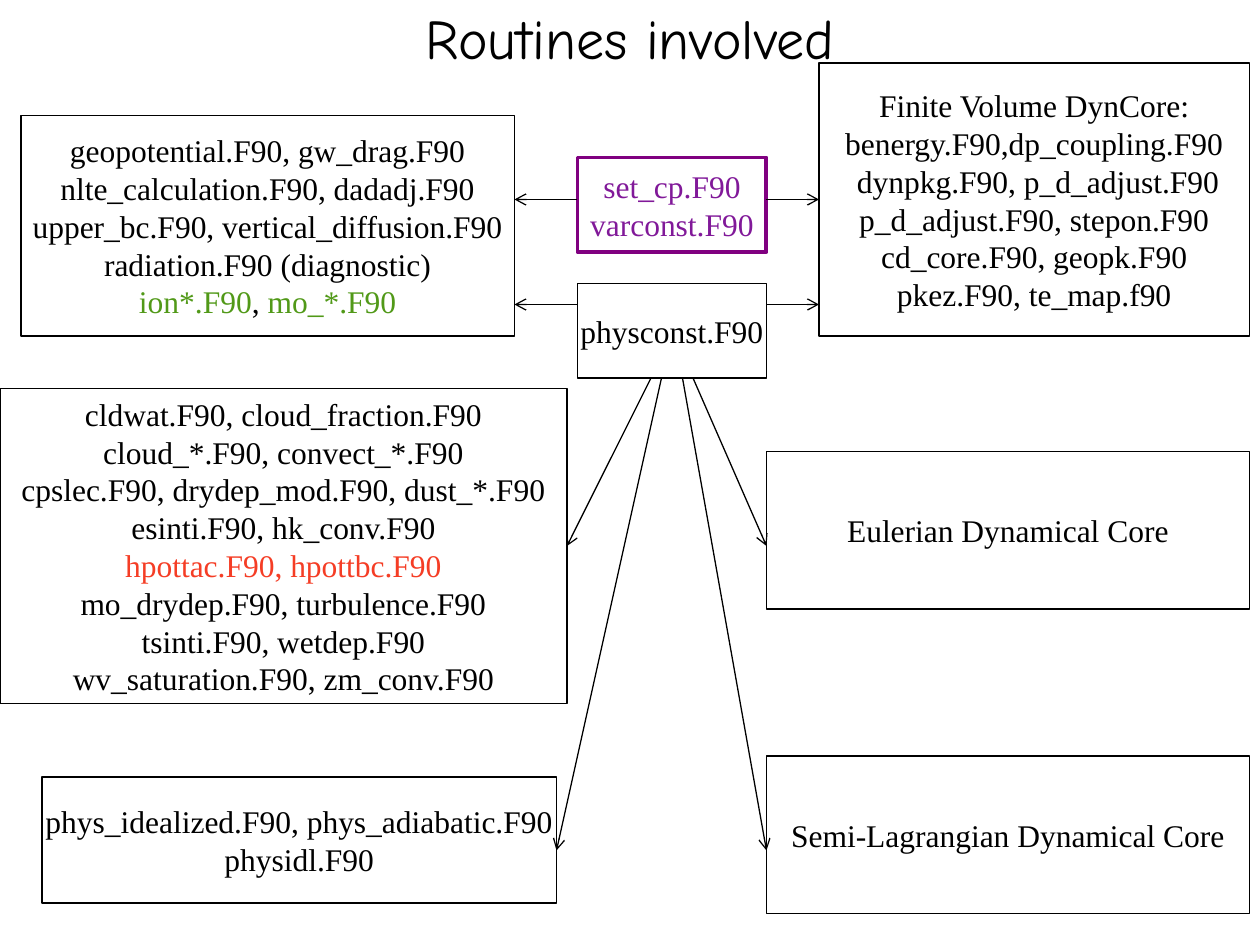
from pptx import Presentation
from pptx.dml.color import RGBColor
from pptx.enum.shapes import MSO_CONNECTOR as CONN, MSO_SHAPE as SHAPE
from pptx.enum.text import MSO_ANCHOR as ANCHOR, PP_ALIGN as ALIGN
from pptx.oxml.ns import qn
from pptx.util import Inches, Pt
from lxml.etree import SubElement

COLS, ROWS = 120, 90
UNIT = Inches(10) // COLS
LEFT, RIGHT = 1, 3  # connection sites of a rectangle
BLACK, WHITE, GREEN, RED = "000000", "FFFFFF", "519918", "F53D25"
PURPLE, VIOLET = "800080", "811999"
BODY = {"name": "Times New Roman", "size": Pt(18)}
TITLE = {"name": "Comic Neue", "size": Pt(32)}

# name: (column, row, columns, rows), lines of text; a line is a string or (text, colour) runs
BOXES = {
    "physics": ((2, 11, 47, 21), [
        "geopotential.F90, gw_drag.F90",
        "nlte_calculation.F90, dadadj.F90",
        "upper_bc.F90, vertical_diffusion.F90",
        "radiation.F90 (diagnostic)",
        [("ion*.F90", GREEN), (", ", BLACK), ("mo_*.F90", GREEN)]]),
    "clouds": ((0, 37, 54, 30), [
        "cldwat.F90, cloud_fraction.F90",
        "cloud_*.F90, convect_*.F90",
        "cpslec.F90, drydep_mod.F90, dust_*.F90",
        "esinti.F90, hk_conv.F90",
        [("hpottac.F90, hpottbc.F90", RED)],
        "mo_drydep.F90, turbulence.F90",
        "tsinti.F90, wetdep.F90",
        "wv_saturation.F90, zm_conv.F90"]),
    "idealized": ((4, 74, 49, 12), [
        "phys_idealized.F90, phys_adiabatic.F90", "physidl.F90"]),
    "finite volume": ((78, 6, 41, 26), [
        "Finite Volume DynCore:",
        "benergy.F90,dp_coupling.F90",
        " dynpkg.F90, p_d_adjust.F90",
        "p_d_adjust.F90, stepon.F90",
        "cd_core.F90, geopk.F90",
        "pkez.F90, te_map.f90"]),
    "eulerian": ((73, 43, 46, 15), ["Eulerian Dynamical Core"]),
    "semi-lagrangian": ((73, 72, 46, 15), ["Semi-Lagrangian Dynamical Core"]),
    "variable": ((55, 15, 18, 9), [
        [("set_cp.F90", VIOLET)], [("varconst.F90", VIOLET)]]),
    "constant": ((55, 27, 18, 9), ["physconst.F90"]),
}
OUTLINES = {"variable": (PURPLE, 2.25)}

# start, end, and the box side to join where the end is its middle
ARROWS = [
    ((55, 19), (49, 19), None),
    ((73, 19), (78, 19), ("finite volume", LEFT)),
    ((55, 29), (49, 29), None),
    ((73, 29), (78, 29), None),
    ((62, 36), (54, 52), ("clouds", RIGHT)),
    ((66, 36), (73, 52), None),
    ((63, 36), (53, 81), None),
    ((65, 36), (73, 81), None),
]


def rgb(value):
    return RGBColor.from_string(value)


def grid(*cells):
    """Turn grid columns and rows into lengths."""
    return [round(c * UNIT) for c in cells]


def set_line(shape, color, width):
    shape.line.color.rgb = rgb(color)
    shape.line.width = Pt(width)


def write(tf, lines, font, wrap):
    tf.word_wrap = wrap
    tf.vertical_anchor = ANCHOR.MIDDLE
    for i, line in enumerate(lines):
        p = tf.paragraphs[0] if i == 0 else tf.add_paragraph()
        p.alignment = ALIGN.CENTER
        for text, color in [(line, BLACK)] if isinstance(line, str) else line:
            r = p.add_run()
            r.text = text
            for key, value in font.items():
                setattr(r.font, key, value)
            r.font.color.rgb = rgb(color)


def add_title(s, text):
    sp = s.shapes.add_textbox(*grid(0, 0, COLS, 7))
    write(sp.text_frame, [text], TITLE, True)


def add_box(s, cells, lines, outline):
    sp = s.shapes.add_shape(SHAPE.RECTANGLE, *grid(*cells))
    sp.shadow.inherit = False
    sp.fill.solid()
    sp.fill.fore_color.rgb = rgb(WHITE)
    set_line(sp, *outline)
    write(sp.text_frame, lines, BODY, False)
    return sp


def add_arrow(s, start, end):
    cx = s.shapes.add_connector(CONN.STRAIGHT, *grid(*start, *end))
    set_line(cx, BLACK, 0.75)
    SubElement(cx.line._get_or_add_ln(), qn("a:tailEnd"), type="arrow")
    SubElement(cx._element.spPr, qn("a:effectLst"))
    return cx


def main():
    prs = Presentation()
    prs.slide_width, prs.slide_height = grid(COLS, ROWS)
    s = prs.slides.add_slide(prs.slide_layouts[6])
    add_title(s, "Routines involved")
    boxes = {name: add_box(s, cells, lines, OUTLINES.get(name, (BLACK, 0.75)))
             for name, (cells, lines) in BOXES.items()}
    for start, end, joint in ARROWS:
        cx = add_arrow(s, start, end)
        if joint:
            name, side = joint
            cx.end_connect(boxes[name], side)
    prs.save("out.pptx")


if __name__ == "__main__":
    main()
